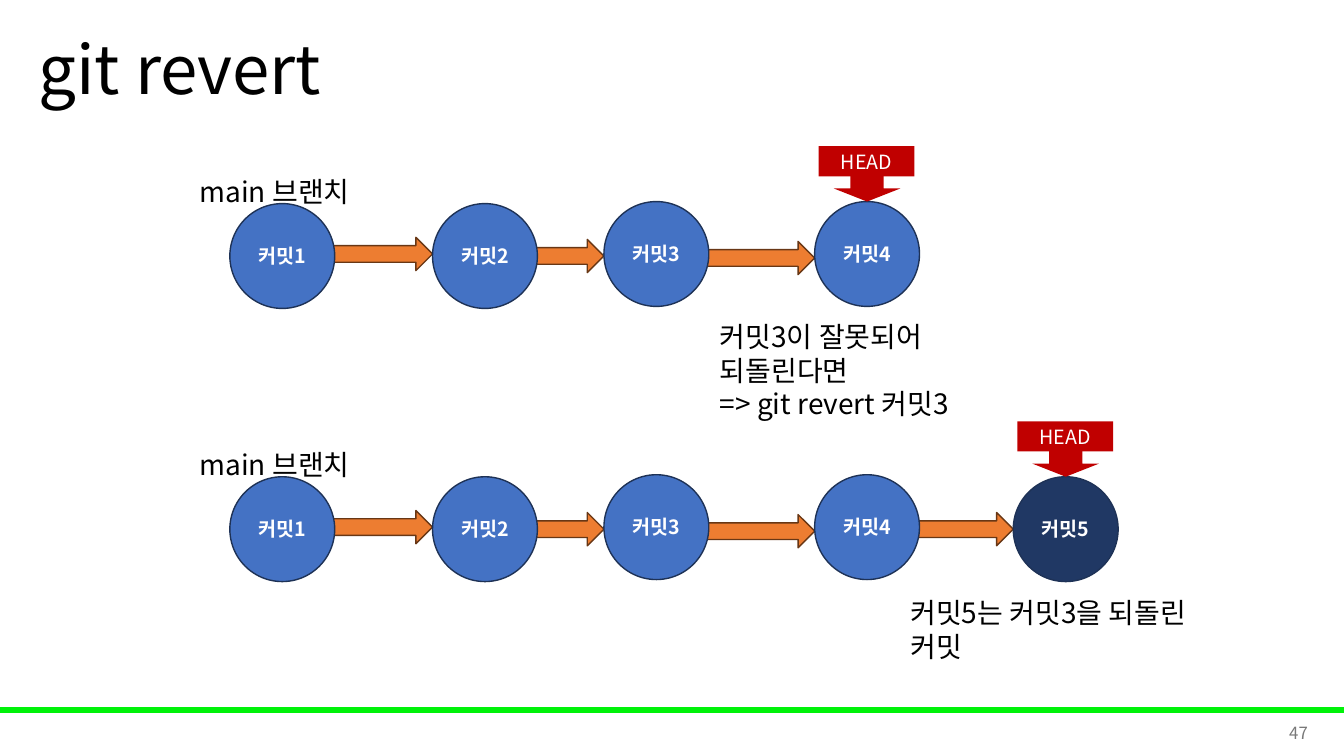
from lxml.etree import SubElement
from pptx import Presentation
from pptx.dml.color import RGBColor
from pptx.enum.shapes import MSO_SHAPE as Kind
from pptx.enum.text import MSO_ANCHOR as Anchor, PP_ALIGN as Align
from pptx.oxml.ns import qn
from pptx.util import Inches, Pt

FACE = "Noto Sans CJK KR"
BLUE, NAVY, EDGE = "4472C4", "203864", "1E3256"
ORANGE, BROWN, RED = "ED7D31", "683715", "C00000"
GREEN, GREY, BLACK, WHITE = "00F209", "797979", "000000", "FFFFFF"

SPOTS = [(2.28, 0.02), (4.29, 0.02), (5.99, 0), (8.08, 0), (10.05, 0.02)]
LINKS = [(1.21, 0.35), (1.21, 0.37), (1.09, 0.39), (1.08, 0.02 + 0.35)]
ROWS = [(2.0, 4), (4.71, 5)]
SIZE, THICK = 1.04, 0.33
NOTES = [
    ("커밋3이 잘못되어 되돌린다면\v=> git revert 커밋3", 7.04, 3.12, 3.41, 1.1),
    ("커밋5는 커밋3을 되돌린 커밋", 8.93, 5.86, 3.4, 0.77),
]


def color(hue):
    return RGBColor.from_string(hue)


def write(shape, text, size, hue, align=Align.LEFT, bold=False, anchor=Anchor.MIDDLE):
    frame = shape.text_frame
    frame.text = text
    frame.word_wrap = True
    frame.vertical_anchor = anchor
    for para in frame.paragraphs:
        para.alignment = align
        for run in para.runs:
            font = run.font
            font.name, font.size, font.bold = FACE, Pt(size), bold
            font.color.rgb = color(hue)
            SubElement(run._r.get_or_add_rPr(), qn("a:ea"), typeface=FACE)


def draw(kind, x, y, w, h, fill, edge=None):
    shape = slide.shapes.add_shape(kind, Inches(x), Inches(y), Inches(w), Inches(h))
    shape.shadow.inherit = False
    shape.fill.solid()
    shape.fill.fore_color.rgb = color(fill)
    if edge:
        shape.line.color.rgb = color(edge)
        shape.line.width = Pt(1)
    else:
        shape.line.fill.background()
    frame = shape.text_frame
    frame.margin_left = frame.margin_right = 0
    return shape


def label(text, x, y, w, h, size=20, hue=BLACK, **style):
    box = slide.shapes.add_textbox(Inches(x), Inches(y), Inches(w), Inches(h))
    write(box, text, size, hue, **style)


def branch(top, count):
    for (w, drop), (x, _) in zip(LINKS, SPOTS[1:count]):
        draw(Kind.RIGHT_ARROW, x - w, top + drop - THICK / 2 + 0.17, w, THICK, ORANGE, BROWN)
    for num, (x, drop) in enumerate(SPOTS[:count], 1):
        fill = NAVY if num == 5 else BLUE
        dot = draw(Kind.OVAL, x, top + drop, SIZE, SIZE, fill, EDGE)
        write(dot, f"커밋{num}", 14, WHITE, Align.CENTER, True)
    x, drop = SPOTS[count - 1]
    mid, tip = x + SIZE / 2, top + drop
    draw(Kind.DOWN_ARROW, mid - 0.33, tip - 0.26, 0.66, 0.26, RED)
    head = draw(Kind.RECTANGLE, mid - 0.48, tip - 0.55, 0.95, 0.3, RED)
    write(head, "HEAD", 14, WHITE, Align.CENTER)
    label("main 브랜치", 1.88, top - 0.32, 1.84, 0.44, anchor=Anchor.TOP)


deck = Presentation()
deck.slide_width, deck.slide_height = Inches(13.33), Inches(7.5)
slide = deck.slides.add_slide(deck.slide_layouts[5])

draw(Kind.RECTANGLE, 0, 7.02, 13.33, 0.05, GREEN, GREEN)
title = slide.shapes.title
title.left, title.top = Inches(0.28), Inches(0)
title.width, title.height = Inches(11.5), Inches(1.45)
write(title, "git revert", 48, BLACK)
title.text_frame.paragraphs[0].line_spacing = 0.9
label("47", 10.07, 7.07, 3, 0.4, 12, GREY, align=Align.RIGHT)

for top, count in ROWS:
    branch(top, count)
for text, *place in NOTES:
    label(text, *place, anchor=Anchor.TOP)

deck.save("out.pptx")
